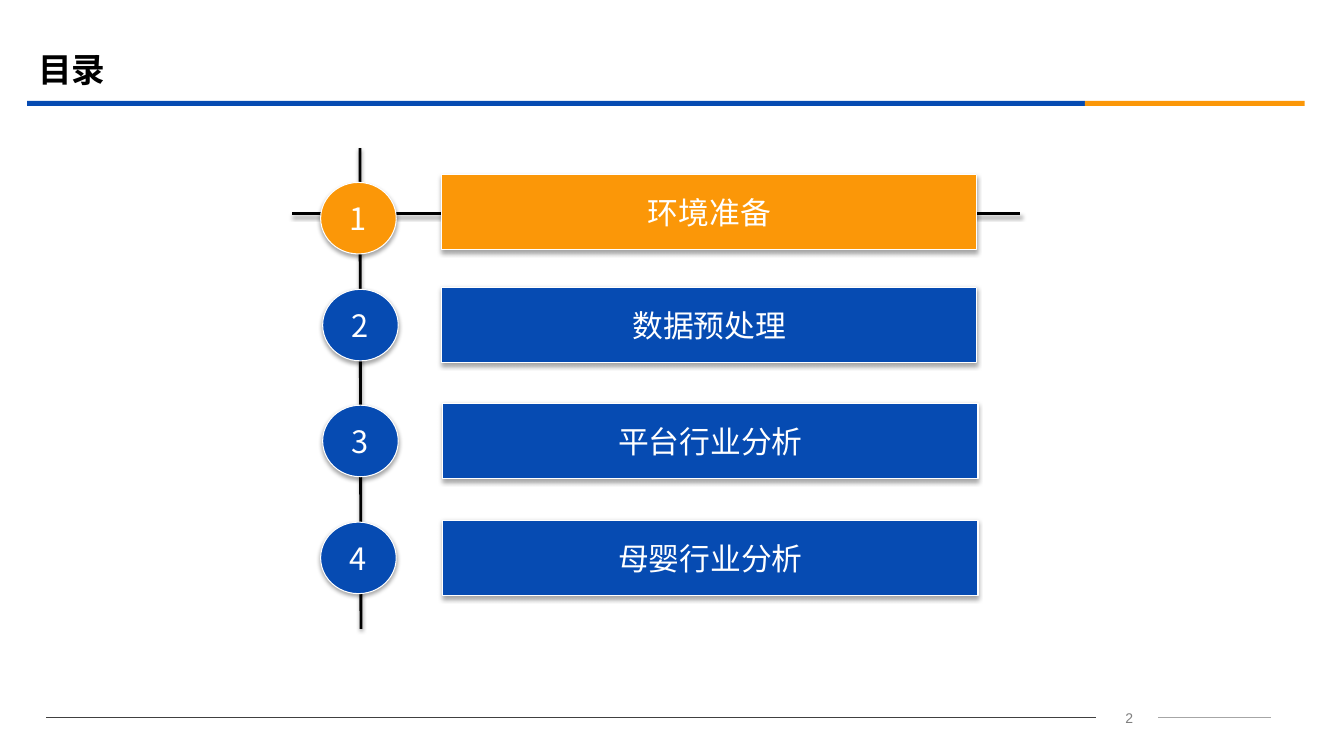
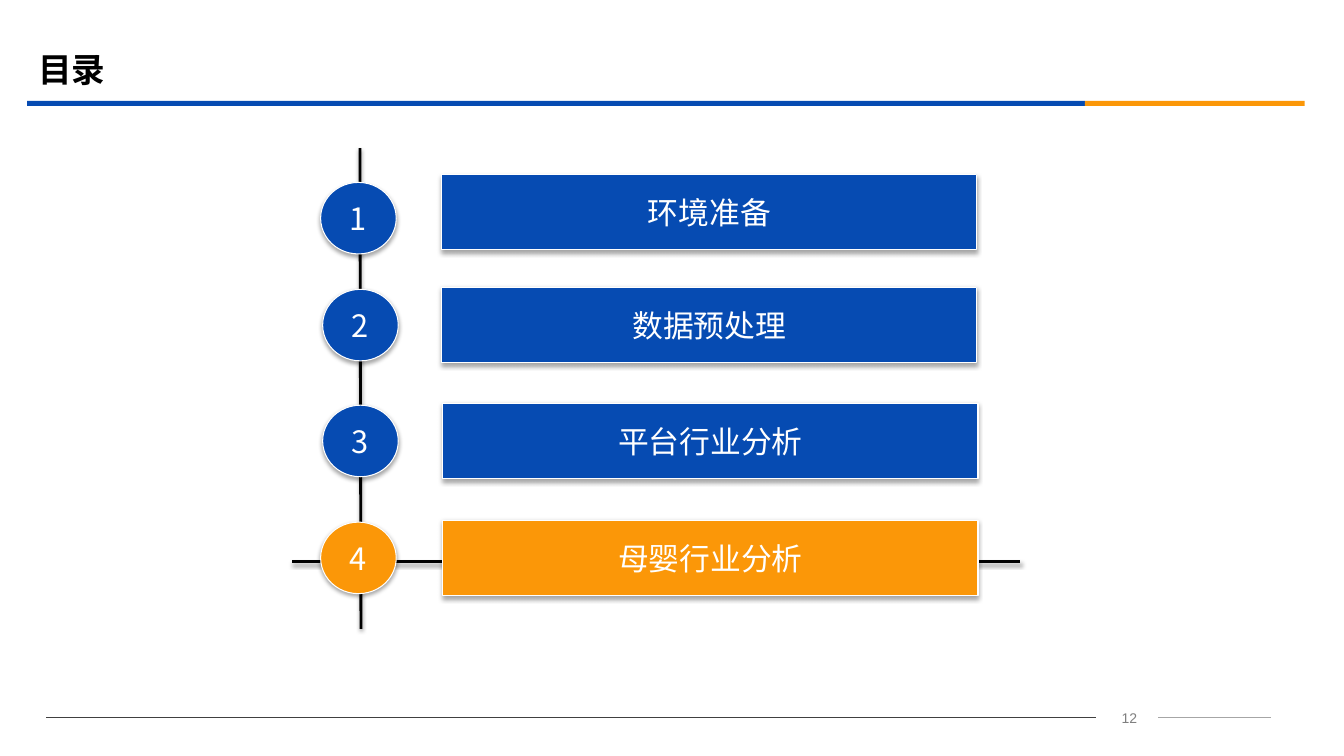
from lxml.etree import SubElement
from pptx import Presentation
from pptx.dml.color import RGBColor
from pptx.enum.shapes import MSO_CONNECTOR, MSO_SHAPE
from pptx.enum.text import MSO_ANCHOR, PP_ALIGN
from pptx.oxml.ns import qn
from pptx.util import Emu, Pt

EMU_PER_PX = 9144

BLUE = RGBColor(0x06, 0x4B, 0xB2)
ORANGE = RGBColor(0xFB, 0x97, 0x08)
WHITE = RGBColor(0xFF, 0xFF, 0xFF)
BLACK = RGBColor(0x00, 0x00, 0x00)
DARK_GRAY = RGBColor(0x40, 0x40, 0x40)
MID_GRAY = RGBColor(0x7F, 0x7F, 0x7F)
LIGHT_GRAY = RGBColor(0xA6, 0xA6, 0xA6)

CJK = "Noto Sans CJK SC"
TITLE_FONT = {"size": Pt(24), "name": CJK, "bold": True}
ITEM_FONT = {"size": Pt(22), "name": CJK}
PAGE_FONT = {"size": Pt(10), "name": "Arial"}

SHAPE_SHADOW = {"blur": 3.1, "dist": 1.8, "alpha": 35}
LINE_SHADOW = {"blur": 3.1, "dist": 1.6, "alpha": 38}

BAR_W, BAR_H = 531, 75
CIRCLE_W, CIRCLE_H = 75, 71

AGENDA = [
    {"text": "环境准备", "bar": (438, 173), "circle": (318, 181), "line_y": 212},
    {"text": "数据预处理", "bar": (438, 285), "circle": (320, 287), "line_y": 325},
    {"text": "平台行业分析", "bar": (439, 400), "circle": (320, 402), "line_y": 440},
    {"text": "母婴行业分析", "bar": (439, 516), "circle": (318, 518), "line_y": 557},
]


def px(*lengths):
    return [Emu(n * EMU_PER_PX) for n in lengths]


def set_effects(shape, shadow=None):
    effects = SubElement(shape._element.spPr, qn("a:effectLst"))
    if shadow:
        outer = SubElement(effects, qn("a:outerShdw"), {
            "blurRad": str(Pt(shadow["blur"])),
            "dist": str(Pt(shadow["dist"])),
            "dir": "5400000",
            "rotWithShape": "0",
        })
        color = SubElement(outer, qn("a:srgbClr"), val=str(BLACK))
        SubElement(color, qn("a:alpha"), val=str(shadow["alpha"] * 1000))


def write(shape, text, font, color, align=PP_ALIGN.CENTER,
          anchor=MSO_ANCHOR.MIDDLE, wrap=False):
    tf = shape.text_frame
    for name, value in {"word_wrap": wrap, "vertical_anchor": anchor}.items():
        setattr(tf, name, value)
    p = tf.paragraphs[0]
    p.alignment = align
    r = p.add_run()
    r.text = text
    for name, value in font.items():
        setattr(r.font, name, value)
    r.font.color.rgb = color
    if font["name"] == CJK:
        SubElement(r.font._element, qn("a:ea"), typeface=CJK)


def add_text(s, box, text, font, color, **layout):
    sp = s.shapes.add_textbox(*px(*box))
    write(sp, text, font, color, wrap=True, **layout)


def add_band(s, box, color):
    sp = s.shapes.add_shape(MSO_SHAPE.RECTANGLE, *px(*box))
    sp.fill.solid()
    sp.fill.fore_color.rgb = color
    sp.line.fill.background()
    sp.shadow.inherit = False


def add_line(s, ends, color, width, shadow=None):
    line = s.shapes.add_connector(MSO_CONNECTOR.STRAIGHT, *px(*ends))
    line.line.color.rgb = color
    line.line.width = Pt(width)
    set_effects(line, shadow)


def add_label(s, kind, box, text, fill):
    sp = s.shapes.add_shape(kind, *px(*box))
    sp.fill.solid()
    sp.fill.fore_color.rgb = fill
    sp.line.color.rgb = WHITE
    sp.line.width = Pt(0.75)
    set_effects(sp, SHAPE_SHADOW)
    write(sp, text, ITEM_FONT, WHITE)


def add_frame(s, title, page):
    add_text(s, (1089, 699, 62, 25), str(page), PAGE_FONT, MID_GRAY,
             anchor=MSO_ANCHOR.TOP)
    add_line(s, (1149, 712, 1261, 712), LIGHT_GRAY, 0.75)
    add_line(s, (46, 712, 1087, 712), DARK_GRAY, 0.75)
    add_band(s, (27, 100, 1049, 5), BLUE)
    add_band(s, (1076, 100, 218, 5), ORANGE)
    add_text(s, (28, 39, 1200, 58), title, TITLE_FONT, BLACK,
             align=PP_ALIGN.LEFT)


def add_agenda(s, current):
    line_y = AGENDA[current - 1]["line_y"]
    add_line(s, (357, 147, 358, 624), BLACK, 2, LINE_SHADOW)
    add_line(s, (290, line_y, 1012, line_y), BLACK, 2, LINE_SHADOW)
    for number, item in enumerate(AGENDA, 1):
        fill = ORANGE if number == current else BLUE
        add_label(s, MSO_SHAPE.ACTION_BUTTON_CUSTOM,
                  (*item["bar"], BAR_W, BAR_H), item["text"], fill)
        add_label(s, MSO_SHAPE.OVAL,
                  (*item["circle"], CIRCLE_W, CIRCLE_H), str(number), fill)


def main():
    prs = Presentation()
    prs.slide_width, prs.slide_height = px(1333, 750)
    for page, current in [(2, 1), (12, 4)]:
        s = prs.slides.add_slide(prs.slide_layouts[6])
        add_frame(s, "目录", page)
        add_agenda(s, current)
    prs.save("out.pptx")


if __name__ == "__main__":
    main()
